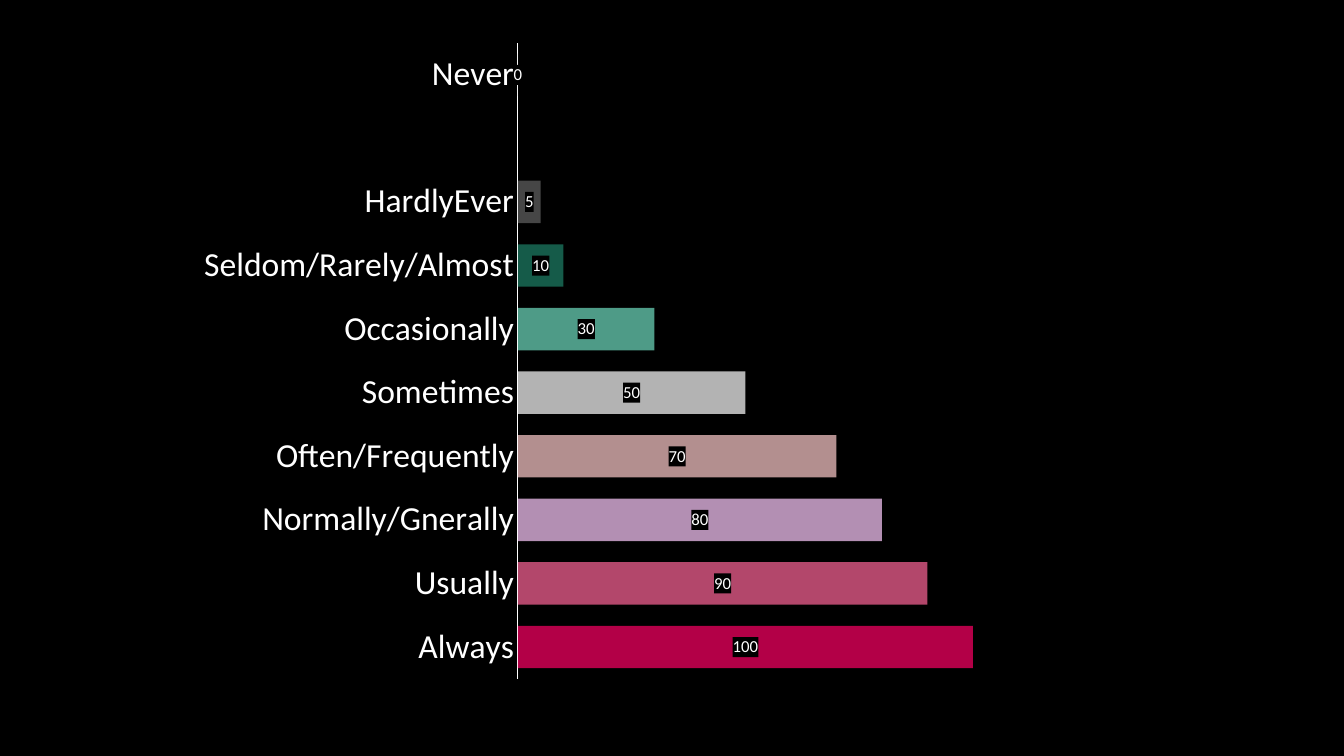
from lxml.etree import SubElement
from pptx import Presentation
from pptx.chart.data import CategoryChartData as ChartData
from pptx.dml.color import RGBColor as RGB
from pptx.enum.chart import (XL_CHART_TYPE as CT, XL_LABEL_POSITION as POS,
                             XL_TICK_MARK as TICK)
from pptx.oxml import parse_xml
from pptx.oxml.ns import nsdecls, qn
from pptx.util import Emu, Pt

PX = 914400 / 100.8
COLORS = {"black": "000000", "white": "FFFFFF", "grey": "646464"}
ALPHA = 70
ADVERBS = [  # category, frequency, bar colour
    ("Always", 100, "FF0066"),
    ("Usually", 90, "FF6699"),
    ("Normally/Gnerally", 80, "FFCCFF"),
    ("Often/Frequently", 70, "FFCCCC"),
    ("Sometimes", 50, "FFFFFF"),
    ("Occasionally", 30, "70DEC1"),
    ("Seldom/Rarely/Almost", 10, "1F8369"),
    ("HardlyEver", 5, None),
    ("", None, None),
    ("Never", 0, None),
]


def px(n):
    """Turn pixels into EMU."""
    return Emu(round(n * PX))


def assign(obj, **values):
    """Set each named attribute on an object."""
    for name, value in values.items():
        setattr(obj, name, value)


class Deck:
    """Holds the style and the current slide."""

    font = "Calibri"

    def __init__(self, prs):
        """Add a blank slide with a black background."""
        self.slide = prs.slides.add_slide(prs.slide_layouts[6])
        self.fill(self.slide.background, COLORS["black"])

    def fill(self, fmt, color, alpha=None):
        """Fill solidly, optionally with an opacity in percent."""
        fmt.fill.solid()
        fmt.fill.fore_color.rgb = RGB.from_string(color)
        if alpha:
            clr = fmt._element.find(".//" + qn("a:srgbClr"))
            SubElement(clr, qn("a:alpha"), val=str(alpha * 1000))

    def text(self, font, size):
        """Style chart text in white."""
        assign(font, name=self.font, size=Pt(size))
        font.color.rgb = RGB.from_string(COLORS["white"])

    def layout(self, chart, box, plot):
        """Fix the inner plot area inside the chart box."""
        (x, y, w, h), (px0, py0, pw, ph) = box, plot
        parts = {"x": (px0 - x) / w, "y": (py0 - y) / h, "w": pw / w, "h": ph / h}
        modes = "".join(f'<c:{k}Mode val="edge"/>' for k in "xy")
        sizes = "".join(f'<c:{k} val="{v:.4f}"/>' for k, v in parts.items())
        area = chart._chartSpace.chart.plotArea
        for old in area.findall(qn("c:layout")):
            area.remove(old)
        area.insert(0, parse_xml(
            f'<c:layout {nsdecls("c")}><c:manualLayout><c:layoutTarget val="inner"/>'
            f'{modes}{sizes}</c:manualLayout></c:layout>'))

    def labels(self, series):
        """Show centred values on black boxes."""
        labels = series.data_labels
        assign(labels, show_value=True, position=POS.CENTER)
        self.text(labels.font, 12)
        labels._element.find(qn("c:txPr")).addprevious(parse_xml(
            f'<c:spPr {nsdecls("c", "a")}><a:solidFill>'
            f'<a:srgbClr val="{COLORS["black"]}"/></a:solidFill></c:spPr>'))

    def bars(self, box, plot, rows, top):
        """Add a horizontal bar chart with one colour per row."""
        data = ChartData()
        data.categories = [name for name, _, _ in rows]
        data.add_series("Series 1", [value for _, value, _ in rows])
        chart = self.slide.shapes.add_chart(
            CT.BAR_STACKED, *map(px, box), data).chart
        assign(chart, has_legend=False, has_title=False)
        self.text(chart.font, 10)
        self.layout(chart, box, plot)

        cat = chart.category_axis
        assign(cat, major_tick_mark=TICK.NONE, minor_tick_mark=TICK.NONE,
               has_major_gridlines=False)
        self.text(cat.tick_labels.font, 24)
        cat.format.line.width = Pt(0.75)
        cat.format.line.color.rgb = RGB.from_string(COLORS["white"])
        assign(chart.value_axis, visible=False, has_major_gridlines=False,
               minimum_scale=0, maximum_scale=top)

        bar = chart.plots[0]
        assign(bar, gap_width=50, overlap=100, vary_by_categories=False)
        series = bar.series[0]
        series.invert_if_negative = False
        self.fill(series.format, COLORS["grey"], ALPHA)
        for i, (_, _, color) in enumerate(rows):
            if color:
                self.fill(series.points[i].format, color, ALPHA)
        self.labels(series)


prs = Presentation()
assign(prs, slide_width=px(1344), slide_height=px(756))
deck = Deck(prs)
deck.bars((186, 30, 896, 662), (518, 43, 546, 636), ADVERBS, top=120)
prs.save("out.pptx")
